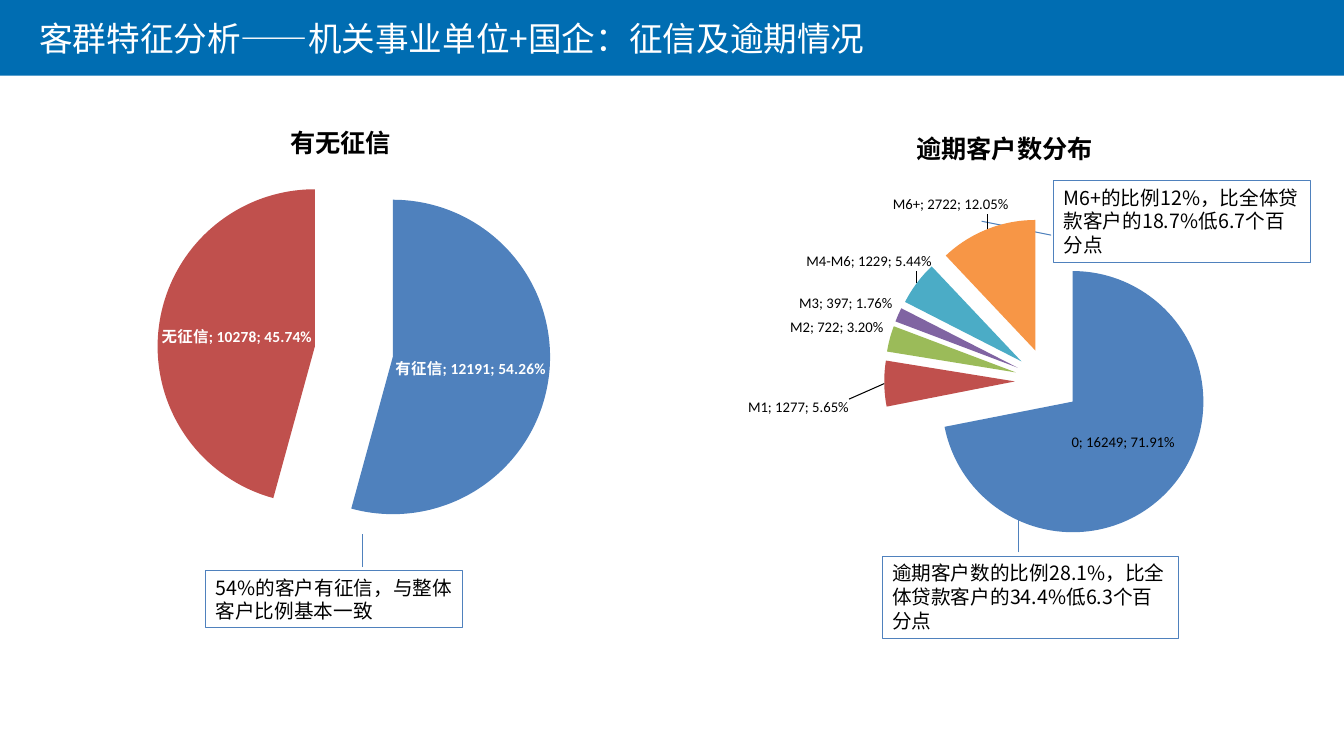
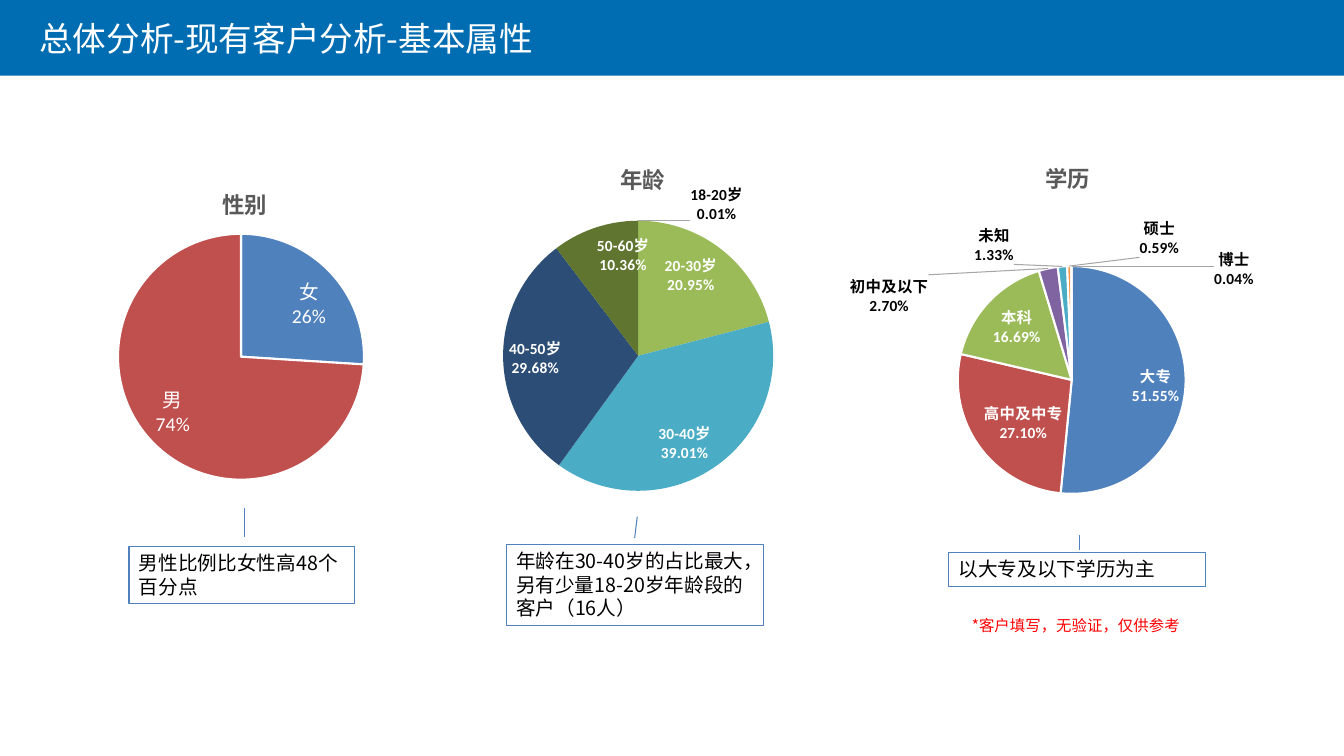
from dataclasses import dataclass, field
from math import cos, pi, sin

from pptx import Presentation
from pptx.chart.data import CategoryChartData
from pptx.dml.color import RGBColor
from pptx.enum.chart import XL_CHART_TYPE
from pptx.enum.shapes import MSO_SHAPE
from pptx.enum.text import MSO_ANCHOR, MSO_AUTO_SIZE
from pptx.oxml import parse_xml
from pptx.oxml.ns import nsdecls
from pptx.util import Inches, Pt


# Colours, fonts and type sizes
@dataclass(frozen=True)
class Theme:
    band: str = "006DB2"
    edge: str = "4F81BD"
    white: str = "FFFFFF"
    black: str = "000000"
    gray: str = "595959"
    lead: str = "A6A6A6"
    red: str = "FF0000"
    cjk: str = "Noto Sans CJK SC"
    latin: str = "Calibri"
    title: int = 24
    head: int = 18
    pie: int = 16
    body: int = 14
    note: int = 11
    base: int = 10
    slices: tuple = ("4F81BD", "C0504D", "9BBB59", "8064A2",
                     "4BACC6", "F79646", "2C4D75")


T = Theme()
Box = tuple[float, float, float, float]


@dataclass
class Callout:
    box: Box
    text: str
    tail: tuple  # y1, x1, y2, x2 as shares of the box


@dataclass
class Label:
    box: Box
    text: str
    size: int = T.head
    color: str = T.black
    font: str = T.latin
    bold: bool = False
    wrap: bool = True


@dataclass
class Pie:
    box: Box
    data: dict
    hub: tuple  # centre on the slide
    span: float  # radius, with any explosion
    title: str = ""
    top: float = 0
    burst: int = 0
    colors: tuple = T.slices
    rim: bool = False
    value: bool = False
    pos: str = "inEnd"
    form: str = "0.00%"
    size: float = T.note
    color: str = T.white
    bold: bool = True
    lead: str = T.lead
    spots: dict = field(default_factory=dict)  # slice -> label centre


@dataclass
class Page:
    title: str
    callouts: list
    labels: list
    pies: list


# Text
def rgb(code: str) -> RGBColor:
    return RGBColor.from_string(code)


def write(frame, text: str, *, size: float, color: str, font: str = T.cjk,
          bold: bool = False, tight: bool = True) -> None:
    para = frame.paragraphs[0]
    if tight:
        para.line_spacing = Pt(round(size * 1.2, 1))
    run = para.add_run()
    run.text = text
    run.font.size, run.font.bold, run.font.name = Pt(size), bold, font
    run.font.color.rgb = rgb(color)
    east = parse_xml(f'<a:ea {nsdecls("a")} typeface="{T.cjk}"/>')
    run.font._element.find("{*}latin").addnext(east)


def add_label(slide, item: Label) -> None:
    frame = slide.shapes.add_textbox(*map(Inches, item.box)).text_frame
    frame.word_wrap = item.wrap
    frame.auto_size = MSO_AUTO_SIZE.SHAPE_TO_FIT_TEXT
    write(frame, item.text, size=item.size, color=item.color,
          font=item.font, bold=item.bold)


# Shapes
def add_band(slide, title: str) -> None:
    band = slide.shapes.add_shape(MSO_SHAPE.RECTANGLE,
                                  *map(Inches, (0, 0, 13.33, 0.75)))
    band.shadow.inherit = False
    band.fill.solid()
    band.fill.fore_color.rgb = rgb(T.band)
    band.line.fill.background()
    add_label(slide, Label((0.29, 0.13, 9.61, 0.5), title, T.title,
                           T.white, T.cjk))


def add_callout(slide, item: Callout) -> None:
    shape = slide.shapes.add_shape(MSO_SHAPE.LINE_CALLOUT_1,
                                   *map(Inches, item.box))
    for i, share in enumerate(item.tail):
        shape.adjustments[i] = share
    shape.shadow.inherit = False
    shape.fill.background()
    shape.line.color.rgb = rgb(T.edge)
    shape.line.width = Pt(0.75)
    frame = shape.text_frame
    frame.word_wrap = True
    frame.auto_size = MSO_AUTO_SIZE.SHAPE_TO_FIT_TEXT
    frame.vertical_anchor = MSO_ANCHOR.TOP
    frame.paragraphs[0].alignment = 1
    write(frame, item.text, size=T.body, color=T.black)


# Chart parts that need XML
def layout(x: float, y: float, size: tuple = (), edge: bool = True) -> str:
    parts = '<c:layoutTarget val="inner"/>' if size else ""
    if edge:
        parts += '<c:xMode val="edge"/><c:yMode val="edge"/>'
    for tag, val in zip("xywh", (x, y, *size)):
        parts += f'<c:{tag} val="{val:.4f}"/>'
    return (f'<c:layout {nsdecls("c")}><c:manualLayout>{parts}'
            '</c:manualLayout></c:layout>')


def place(node, xml: str, index: int) -> None:
    for old in node.xpath("./c:layout"):
        node.remove(old)
    node.insert(index, parse_xml(xml))


def style(pie: Pie, color: str, pos: str) -> str:
    gap = "; " if pie.value else "\n"
    return (
        f'<c:numFmt formatCode="{pie.form}" sourceLinked="0"/>'
        '<c:spPr><a:noFill/><a:ln><a:noFill/></a:ln></c:spPr>'
        '<c:txPr><a:bodyPr/><a:lstStyle/><a:p><a:pPr>'
        f'<a:defRPr sz="{int(pie.size * 100)}" b="{int(pie.bold)}">'
        f'<a:solidFill><a:srgbClr val="{color}"/></a:solidFill>'
        f'<a:latin typeface="{T.latin}"/><a:ea typeface="{T.cjk}"/>'
        '</a:defRPr></a:pPr><a:endParaRPr lang="zh-CN"/></a:p></c:txPr>'
        f'<c:dLblPos val="{pos}"/><c:showLegendKey val="0"/>'
        f'<c:showVal val="{int(pie.value)}"/><c:showCatName val="1"/>'
        '<c:showSerName val="0"/><c:showPercent val="1"/>'
        f'<c:showBubbleSize val="0"/><c:separator>{gap}</c:separator>')


def tags(pie: Pie) -> str:
    """Data labels; moved ones are offset from the middle of their slice."""
    vals = list(pie.data.values())
    burst = pie.burst / 100
    mid = pie.span * (burst + 0.5) / (1 + burst)
    moved = ""
    for i, (x, y) in pie.spots.items():
        turn = 2 * pi * (sum(vals[:i]) + vals[i] / 2) / sum(vals)
        dx = x - pie.hub[0] - mid * sin(turn)
        dy = y - pie.hub[1] + mid * cos(turn)
        shift = layout(dx / pie.box[2], dy / pie.box[3], edge=False)
        moved += (f'<c:dLbl><c:idx val="{i}"/>{shift}'
                  f'{style(pie, T.black, "ctr")}</c:dLbl>')
    return (f'<c:dLbls {nsdecls("c", "a")}>{moved}'
            f'{style(pie, pie.color, pie.pos)}<c:showLeaderLines val="1"/>'
            '<c:leaderLines><c:spPr><a:ln w="9525"><a:solidFill>'
            f'<a:srgbClr val="{pie.lead}"/></a:solidFill></a:ln></c:spPr>'
            '</c:leaderLines></c:dLbls>')


def explode(node, burst: int) -> None:
    xml = f'<c:explosion {nsdecls("c")} val="{burst}"/>'
    for part in node.xpath("./c:dPt/c:spPr"):
        part.addprevious(parse_xml(xml))
    node.xpath("./c:dPt")[0].addprevious(parse_xml(xml))


def add_pie(slide, pie: Pie) -> None:
    data = CategoryChartData()
    data.categories = list(pie.data)
    data.add_series("Series 1", list(pie.data.values()))
    chart = slide.shapes.add_chart(XL_CHART_TYPE.PIE,
                                   *map(Inches, pie.box), data).chart
    chart.has_legend = False
    chart.font.name, chart.font.size = T.latin, Pt(T.base)
    chart.font.color.rgb = rgb(T.black)
    root = chart._chartSpace
    root.xpath("./c:txPr")[0].addprevious(parse_xml(
        f'<c:spPr {nsdecls("c", "a")}><a:noFill/><a:ln><a:noFill/></a:ln>'
        '</c:spPr>'))

    # Title and plot area
    left, top, wide, high = pie.box
    chart.has_title = bool(pie.title)
    if pie.title:
        title = chart.chart_title
        write(title.text_frame, pie.title, size=T.pie, color=T.gray,
              font=T.latin, bold=True, tight=False)
        place(title._element,
              layout(0.5 - 0.22 / wide, (pie.top - top) / high), 1)
    x, y = pie.hub
    place(root.xpath(".//c:plotArea")[0],
          layout((x - pie.span - left) / wide, (y - pie.span - top) / high,
                 (2 * pie.span / wide, 2 * pie.span / high)), 0)

    # Slices and labels
    plot = chart.plots[0]
    plot.vary_by_categories = True
    row = plot.series[0]
    for i, color in enumerate(pie.colors[:len(pie.data)]):
        part = row.points[i].format
        part.fill.solid()
        part.fill.fore_color.rgb = rgb(color)
        if pie.rim:
            part.line.color.rgb = rgb(T.white)
            part.line.width = Pt(1.5)
        else:
            part.line.fill.background()
    if pie.burst:
        explode(row._element, pie.burst)
    row._element.xpath("./c:cat")[0].addprevious(parse_xml(tags(pie)))


# Content
PAGES = [
    Page(
        "客群特征分析——机关事业单位+国企：征信及逾期情况",
        [Callout((10.45, 1.79, 2.55, 0.81),
                 "M6+的比例12%，比全体贷款客户的18.7%低6.7个百分点",
                 (0.67, -0.01, 0.5, -0.28)),
         Callout((8.75, 5.52, 2.94, 0.81),
                 "逾期客户数的比例28.1%，比全体贷款客户的34.4%低6.3个百分点",
                 (-0.05, 0.46, -0.51, 0.46)),
         Callout((2.04, 5.66, 2.55, 0.57),
                 "54%的客户有征信，与整体客户比例基本一致",
                 (-0.06, 0.61, -0.63, 0.61))],
        [Label((2.78, 1.21, 1.21, 0.4), "有无征信", bold=True, wrap=False),
         Label((8.99, 1.27, 1.98, 0.4), "逾期客户数分布", bold=True,
               wrap=False)],
        [Pie((0.4, 1.4, 6.23, 4.17), {"有征信": 12191, "无征信": 10278},
             (3.51, 3.49), 1.95, burst=25, value=True, pos="ctr"),
         Pie((7.07, 1.67, 5.58, 3.87),
             {"0": 16249, "M1": 1277, "M2": 722, "M3": 397,
              "M4-M6": 1229, "M6+": 2722},
             (10.39, 3.78), 1.62, burst=25, value=True, pos="ctr",
             size=10.5, color=T.black, bold=False, lead=T.black,
             spots={1: (7.92, 4.05), 2: (8.3, 3.25), 3: (8.39, 3.01),
                    4: (8.62, 2.6), 5: (9.43, 2.03)})]),
    Page(
        "总体分析-现有客户分析-基本属性",
        [Callout((1.28, 5.42, 2.24, 0.57), "男性比例比女性高48个百分点",
                 (-0.17, 0.51, -0.66, 0.51)),
         Callout((5.02, 5.4, 2.55, 0.81),
                 "年龄在30-40岁的占比最大，另有少量18-20岁年龄段的客户（16人）",
                 (-0.08, 0.5, -0.34, 0.51)),
         Callout((9.41, 5.48, 2.55, 0.34), "以大专及以下学历为主",
                 (-0.08, 0.51, -0.52, 0.51))],
        [Label((9.54, 6.06, 2.52, 0.29), "*客户填写，无验证，仅供参考",
               T.note, T.red, T.cjk)],
        [Pie((-0.51, 1.61, 5.79, 3.29), {"女": 26, "男": 74},
             (2.39, 3.54), 1.22, "性别", 1.8, rim=True, form="0%",
             size=T.body, bold=False),
         Pie((3.53, 1.49, 5.6, 3.52),
             {"18-20岁": 0.01, "20-30岁": 20.95, "30-40岁": 39.01,
              "40-50岁": 29.68, "50-60岁": 10.36},
             (6.33, 3.53), 1.34, "年龄", 1.55,
             colors=("4F81BD", "9BBB59", "4BACC6", "2C4D75", "5F7530"),
             spots={0: (7.11, 2.02)}),
         Pie((7.58, 1.46, 5.94, 3.75),
             {"大专": 51.55, "高中及中专": 27.1, "本科": 16.69,
              "初中及以下": 2.7, "未知": 1.33, "硕士": 0.59, "博士": 0.04},
             (10.63, 3.77), 1.13, "学历", 1.54, rim=True,
             spots={3: (8.82, 2.93), 4: (9.86, 2.42), 5: (11.5, 2.35),
                    6: (12.24, 2.66)})]),
]


def main() -> None:
    deck = Presentation()
    deck.slide_width, deck.slide_height = Inches(13.33), Inches(7.5)
    for page in PAGES:
        slide = deck.slides.add_slide(deck.slide_layouts[6])
        add_band(slide, page.title)
        for draw, items in ((add_callout, page.callouts),
                            (add_label, page.labels), (add_pie, page.pies)):
            for item in items:
                draw(slide, item)
    deck.save("out.pptx")


if __name__ == "__main__":
    main()
